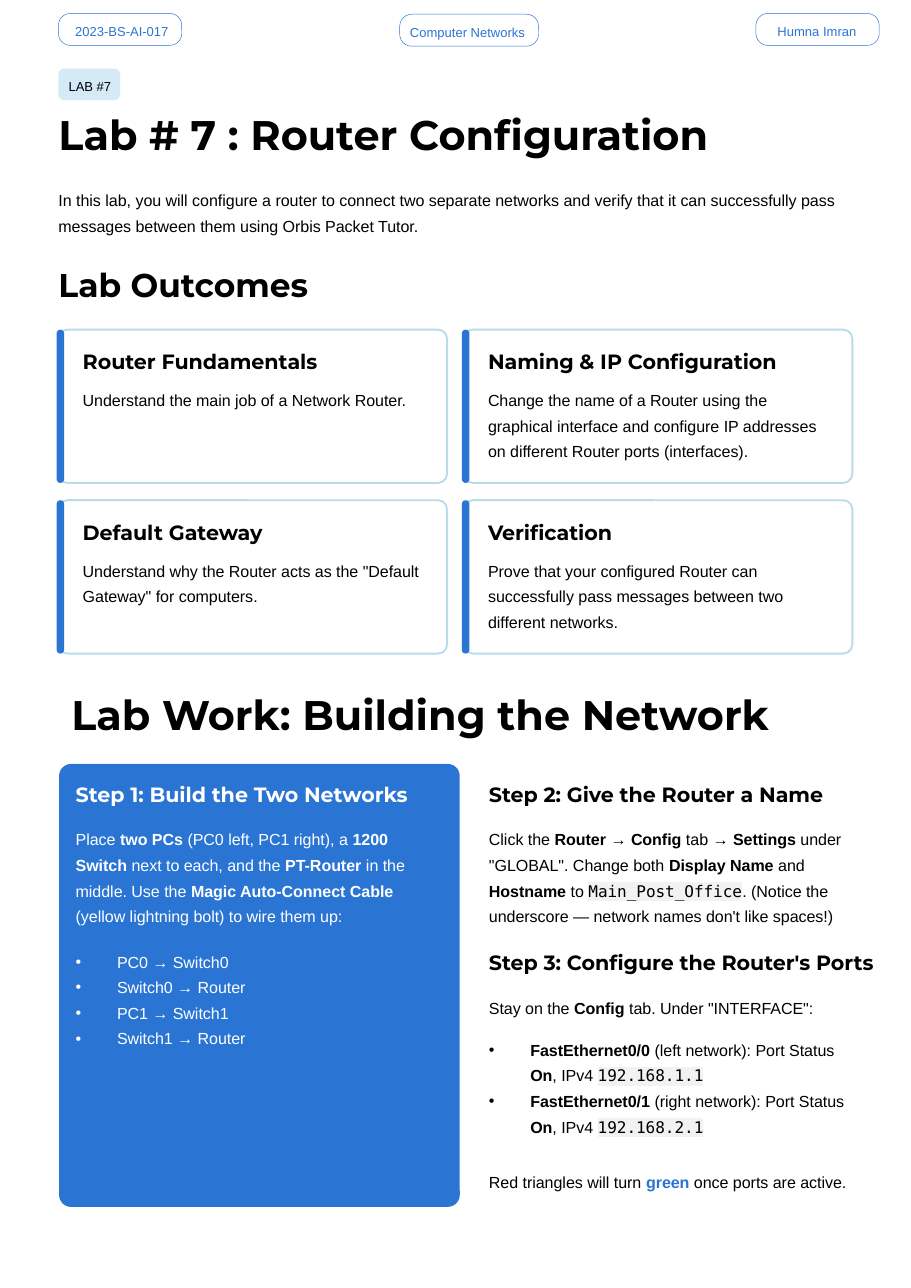
from lxml import etree
from pptx import Presentation
from pptx.dml.color import RGBColor
from pptx.enum.shapes import MSO_SHAPE
from pptx.enum.text import MSO_ANCHOR, MSO_AUTO_SIZE, PP_ALIGN
from pptx.oxml.ns import qn
from pptx.util import Pt

BLUE = RGBColor(0x2A, 0x75, 0xD3)
PALE_BLUE = RGBColor(0xD4, 0xEB, 0xF7)
CARD_EDGE = RGBColor(0xBA, 0xDB, 0xEA)
CODE_GREY = RGBColor(0xF2, 0xF2, 0xF2)
BLACK = RGBColor(0, 0, 0)
WHITE = RGBColor(255, 255, 255)

# Text styles: font, size, bold, line spacing
TITLE = ("Montserrat", 27, True, 1.04)
SECTION = ("Montserrat", 21.5, True, 1.04)
HEADING = ("Montserrat", 13.5, True, 1.04)
BODY = ("Arial", 10.5, False, 1.33)
LABEL = ("Arial", 8.5, False, 1.33)
INDENT = Pt(27)

prs = Presentation()
prs.slide_width, prs.slide_height = Pt(595.44), Pt(841.68)
slide = prs.slides.add_slide(prs.slide_layouts[5])


def rounded(place, adjust, fill=None, edge=None, edge_width=0):
    """Add a rounded rectangle at place (left, top, width, height)."""
    shape = slide.shapes.add_shape(MSO_SHAPE.ROUNDED_RECTANGLE, *map(Pt, place))
    shape.adjustments[0] = adjust
    shape.shadow.inherit = False
    if fill is None:
        shape.fill.background()
    else:
        shape.fill.solid()
        shape.fill.fore_color.rgb = fill
    if edge is None:
        shape.line.fill.background()
    else:
        shape.line.color.rgb = edge
        shape.line.width = Pt(edge_width)


def write(place, paragraphs, style, color=BLACK, wrap=False, bullets=False, shape=None):
    """Write paragraphs; | splits runs, led by * for bold, ` for code, ^ for bold blue."""
    font, size, bold, spacing = style
    if shape is None:
        shape = slide.shapes.add_textbox(*map(Pt, place))
    else:
        shape.left, shape.top, shape.width, shape.height = map(Pt, place)
    frame = shape.text_frame
    frame.margin_left = frame.margin_top = frame.margin_right = frame.margin_bottom = 0
    frame.auto_size = MSO_AUTO_SIZE.NONE
    frame.vertical_anchor = MSO_ANCHOR.TOP
    frame.word_wrap = wrap
    for index, text in enumerate(paragraphs):
        paragraph = frame.add_paragraph() if index else frame.paragraphs[0]
        paragraph.alignment = PP_ALIGN.LEFT
        paragraph.line_spacing = spacing
        if bullets:
            properties = paragraph._p.get_or_add_pPr()
            properties.set("marL", str(INDENT))
            properties.set("indent", str(-INDENT))
            etree.SubElement(properties, qn("a:buFont")).set("typeface", font)
            etree.SubElement(properties, qn("a:buChar")).set("char", "•")
        for part in text.split("|"):
            mark = part[0] if part[0] in "*`^" else ""
            run = paragraph.add_run()
            run.text = part[len(mark):]
            run.font.size = Pt(size)
            run.font.bold = bold or mark in ("*", "^")
            run.font.color.rgb = BLUE if mark == "^" else color
            run.font.name = "DejaVu Sans Mono" if mark == "`" else font
            if mark == "`":
                highlight = etree.Element(qn("a:highlight"))
                etree.SubElement(highlight, qn("a:srgbClr")).set("val", str(CODE_GREY))
                run._r.rPr.find(qn("a:solidFill")).addnext(highlight)


# Page header
for left, top, width, text_left, text_width, label in [
    (494.1, 8.8, 80.6, 508.2, 52.6, "Humna Imran"),
    (38.2, 8.8, 80.6, 49.1, 59, "2023-BS-AI-017"),
    (261.3, 9.3, 90.7, 268, 77, "Computer Networks"),
]:
    rounded((left, top, width, 20.9), 0.372, edge=BLUE, edge_width=0.31)
    write((text_left, top + 3.3, text_width, 13.7), [label], LABEL, BLUE)

# Introduction
rounded((38.2, 44.8, 40.3, 20.6), 0.179, PALE_BLUE)
write((44.8, 48.2, 56.9, 13.7), ["LAB #7"], LABEL)
write((38.2, 69.8, 519, 33.8), ["Lab # 7 : Router Configuration"], TITLE,
      wrap=True, shape=slide.shapes.title)
write((38.2, 120.4, 519, 35.3), [
    "In this lab, you will configure a router to connect two separate networks and verify "
    "that it can successfully pass messages between them using Orbis Packet Tutor."
], BODY, wrap=True)
write((38.2, 171.7, 248.4, 27.4), ["Lab Outcomes"], SECTION)

# Outcome cards, two per row
outcomes = [
    ("Router Fundamentals", "Understand the main job of a Network Router."),
    ("Naming & IP Configuration",
     "Change the name of a Router using the graphical interface and configure IP addresses "
     "on different Router ports (interfaces)."),
    ("Default Gateway",
     'Understand why the Router acts as the "Default Gateway" for computers.'),
    ("Verification",
     "Prove that your configured Router can successfully pass messages between two "
     "different networks."),
]
for index, (heading, body) in enumerate(outcomes):
    row, column = divmod(index, 2)
    left, top = 38.2 + 264.9 * column, 215.4 + 111.5 * row
    rounded((left, top, 254, 100.2), 0.059, WHITE, CARD_EDGE, 1.24)
    rounded((left - 1.2, top, 5, 100.2), 0.925, BLUE)
    write((left + 15.9, top + 12.1, 196, 17.3), [heading], HEADING)
    write((left + 15.9, top + 35.7, 226.1, 52.6), [body], BODY, wrap=True)

# Lab work
write((46.6, 449, 426.2, 33.8), ["Lab Work: Building the Network"], TITLE)
rounded((38.6, 499.2, 261.9, 289.5), 0.03, BLUE)

STEP_1, STEPS_2_3 = 49.5, 319.6
for left, top, width, heading, color in [
    (STEP_1, 510.5, 218.9, "Step 1: Build the Two Networks", WHITE),
    (STEPS_2_3, 510.5, 223.9, "Step 2: Give the Router a Name", BLACK),
    (STEPS_2_3, 620.3, 252, "Step 3: Configure the Router's Ports", BLACK),
]:
    write((left, top, width, 17.3), [heading], HEADING, color)

write((STEP_1, 538.2, 239.8, 70), [
    "Place |*two PCs| (PC0 left, PC1 right), a |*1200 Switch| next to each, and the |"
    "*PT-Router| in the middle. Use the |*Magic Auto-Connect Cable| (yellow lightning "
    "bolt) to wire them up:"
], BODY, WHITE, wrap=True)
write((STEP_1, 618.1, 239.8, 81.4), [
    "PC0 → Switch0", "Switch0 → Router", "PC1 → Switch1", "Switch1 → Router"
], BODY, WHITE, wrap=True, bullets=True)

write((STEPS_2_3, 538.2, 246.2, 71.3), [
    'Click the |*Router| → |*Config| tab → |*Settings| under "GLOBAL". Change both |'
    "*Display Name| and |*Hostname| to |`Main_Post_Office|. (Notice the underscore — "
    "network names don't like spaces!)"
], BODY, wrap=True)
write((STEPS_2_3, 648.3, 275.8, 17.3),
      ['Stay on the |*Config| tab. Under "INTERFACE":'], BODY)
write((STEPS_2_3, 675.7, 246.2, 76.3), [
    f"*FastEthernet0/{port}| ({side} network): Port Status |*On|, IPv4 |`192.168.{port + 1}.1"
    for port, side in enumerate(("left", "right"))
], BODY, wrap=True, bullets=True)
write((STEPS_2_3, 761.8, 275.8, 17.3),
      ["Red triangles will turn |^green| once ports are active."], BODY)

prs.save("out.pptx")
